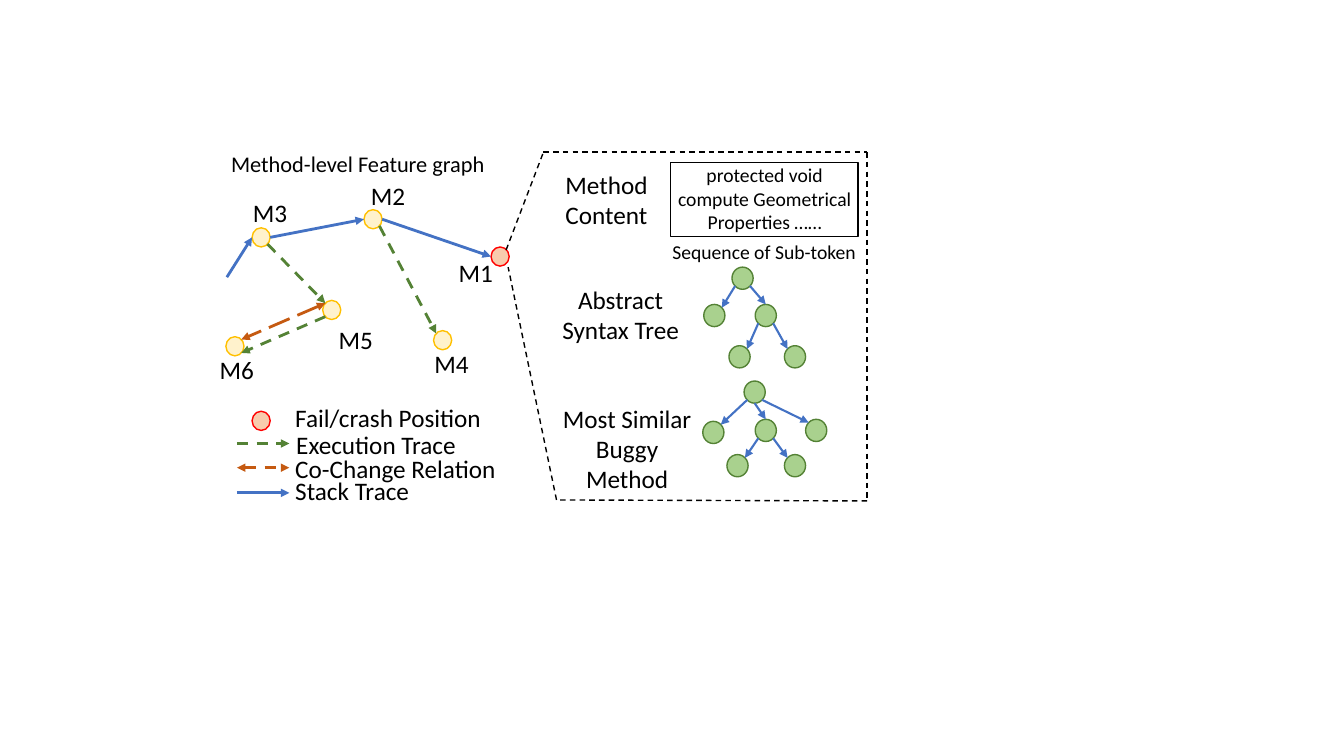
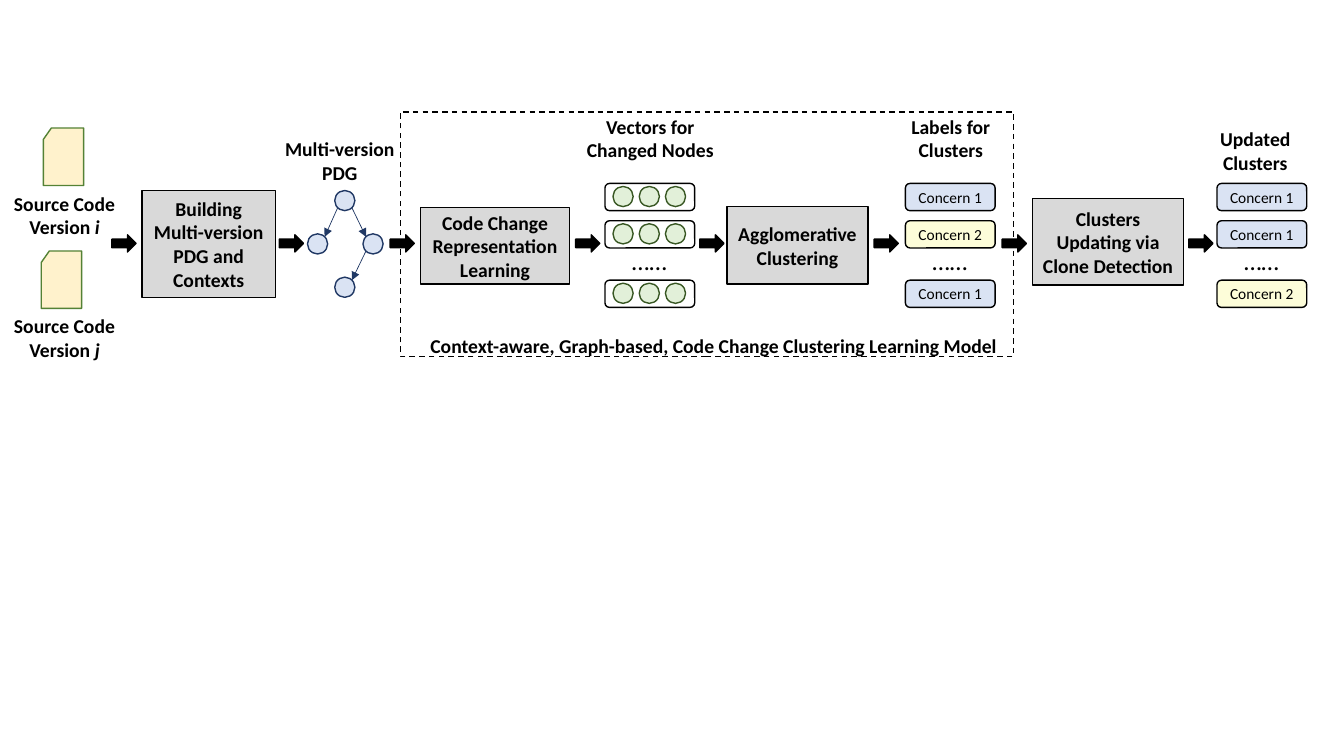
from lxml import etree
from pptx import Presentation
from pptx import util as u
from pptx.dml.color import RGBColor
from pptx.enum import dml, shapes, text
from pptx.oxml import ns

FONT = "Calibri"
BLACK, BLUE, GREEN, ORANGE, RED = "000000", "4472C4", "548235", "C55A11", "FF0000"
GOLD, CREAM, PEACH, LEAF = "FFC000", "FFF2CC", "F8CBAD", "A9D18E"
GREY, NAVY, SKY, LEMON = "D9D9D9", "203864", "DAE3F3", "FDFDD9"
MINT, FOREST = "E2F0D9", "385723"
DASH, LONG_DASH = dml.MSO_LINE.DASH, dml.MSO_LINE.LONG_DASH
SHAPE = shapes.MSO_SHAPE
CENTER, LEFT = text.PP_ALIGN.CENTER, text.PP_ALIGN.LEFT


def color(hex_code):
    """Turn a hex string into a colour."""
    return RGBColor.from_string(hex_code)


def site(node, compass):
    """Return the point on an ellipse (left, top, width, height) facing a compass direction."""
    left, top, width, height = node
    dx = ("e" in compass) - ("w" in compass)
    dy = ("s" in compass) - ("n" in compass)
    reach = 0.5 if len(compass) == 1 else 0.35
    return left + width * (0.5 + reach * dx), top + height * (0.5 + reach * dy)


class Canvas:
    """Holds the deck style and the current slide."""

    def __init__(self):
        """Start a widescreen deck."""
        self.deck = Presentation()
        self.deck.slide_width = u.Inches(13.33)
        self.deck.slide_height = u.Inches(7.5)
        self.slide = None

    def new_slide(self):
        """Add a blank slide and make it current."""
        self.slide = self.deck.slides.add_slide(self.deck.slide_layouts[6])

    def add_words(self, frame, runs, size, bold, align):
        """Put one paragraph of (words, italic) runs into a text frame."""
        frame.word_wrap = True
        paragraph = frame.paragraphs[0]
        paragraph.alignment = align
        for words, italic in runs:
            run = paragraph.add_run()
            run.text = words
            run.font.name, run.font.size = FONT, u.Pt(size)
            run.font.bold, run.font.italic = bold, italic
            run.font.color.rgb = color(BLACK)

    def label(self, at, words, size=18, bold=False, align=LEFT, ending=""):
        """Add a text box, with an optional italic ending."""
        box = self.slide.shapes.add_textbox(*map(u.Inches, at))
        runs = [(words, False)] + ([(ending, True)] if ending else [])
        self.add_words(box.text_frame, runs, size, bold, align)
        box.text_frame.auto_size = text.MSO_AUTO_SIZE.SHAPE_TO_FIT_TEXT

    def shape(self, kind, at, fill=None, line=BLACK, dash=None):
        """Add a preset shape, unfilled unless a fill is given."""
        figure = self.slide.shapes.add_shape(kind, *map(u.Inches, at))
        figure.shadow.inherit = False
        if fill:
            figure.fill.solid()
            figure.fill.fore_color.rgb = color(fill)
        else:
            figure.fill.background()
        figure.line.color.rgb = color(line)
        figure.line.width = u.Pt(1)
        if dash:
            figure.line.dash_style = dash
        return figure

    def box(self, kind, at, words, fill, size, bold=False):
        """Add a shape with centred words inside."""
        figure = self.shape(kind, at, fill)
        frame = figure.text_frame
        frame.margin_left = frame.margin_right = u.Inches(0.08)
        frame.vertical_anchor = text.MSO_ANCHOR.MIDDLE
        self.add_words(frame, [(words, False)], size, bold, CENTER)

    def line(self, start, end, stroke=BLACK, width=1, dash=None, ends=""):
        """Add a straight line; ends names the arrowheads: head, tail or both."""
        connector = self.slide.shapes.add_connector(
            shapes.MSO_CONNECTOR.STRAIGHT, *map(u.Inches, (*start, *end)))
        connector.line.color.rgb = color(stroke)
        connector.line.width = u.Pt(width)
        if dash:
            connector.line.dash_style = dash
        properties = connector.element.spPr
        outline = properties.find(ns.qn("a:ln"))
        for end_name in ends.split():
            etree.SubElement(outline, ns.qn(f"a:{end_name}End"), type="triangle")
        etree.SubElement(properties, ns.qn("a:effectLst"))

    def tree(self, corners, size, edges, fill, outline, stroke, width):
        """Draw equal nodes and the arrows (from, side, to, side) between them."""
        nodes = [(*corner, *size) for corner in corners]
        for node in nodes:
            self.shape(SHAPE.OVAL, node, fill, outline)
        for parent, leaving, child, arriving in edges:
            self.line(site(nodes[parent], leaving), site(nodes[child], arriving),
                      stroke, width, ends="tail")


def feature_graph(canvas):
    """Draw the method graph with its legend."""
    node_size = (0.18, 0.19)
    # name: node corner, label left, top and width
    methods = {
        "M1": ((4.87, 2.45), (4.45, 2.5, 0.74)),
        "M2": ((3.61, 2.08), (3.58, 1.74, 0.74)),
        "M3": ((2.5, 2.26), (2.41, 1.91, 0.74)),
        "M4": ((4.3, 3.28), (4.21, 3.41, 0.74)),
        "M5": ((3.2, 2.98), (3.26, 3.17, 0.82)),
        "M6": ((2.24, 3.34), (2.08, 3.47, 0.74)),
    }
    nodes = {name: (*corner, *node_size) for name, (corner, _) in methods.items()}
    for name, (_, place) in methods.items():
        failing = name == "M1"
        canvas.shape(SHAPE.OVAL, nodes[name], PEACH if failing else CREAM,
                     RED if failing else GOLD)
        canvas.label((*place, 0.4), name)

    stack = (BLUE, 2, None, "tail")
    execution = (GREEN, 2, DASH, "tail")
    for source, leaving, target, arriving, style in (
            ("M3", "e", "M2", "w", stack),
            ("M2", "e", "M1", "w", stack),
            ("M2", "se", "M4", "nw", execution),
            ("M3", "se", "M5", "nw", execution),
            ("M5", "sw", "M6", "se", execution),
            ("M5", "nw", "M6", "ne", (ORANGE, 2, LONG_DASH, "head tail"))):
        canvas.line(site(nodes[source], leaving), site(nodes[target], arriving), *style)
    canvas.line((2.25, 2.75), site(nodes["M3"], "w"), *stack)
    canvas.label((1.91, 1.44, 3.28, 0.37), "Method-level Feature graph", 16, align=CENTER)

    canvas.shape(SHAPE.OVAL, (2.5, 4.08, *node_size), PEACH, RED)
    canvas.label((2.83, 3.94, 2.24, 0.4), "Fail/crash Position")
    for meaning, left, top, line_y, style in (
            ("Execution Trace", 2.84, 4.21, 4.4, execution),
            ("Co-Change Relation", 2.83, 4.45, 4.64, (ORANGE, 2, DASH, "head tail")),
            ("Stack Trace", 2.83, 4.67, 4.89, stack)):
        canvas.line((2.35, line_y), (2.87, line_y), *style)
        canvas.label((left, top, 2.54, 0.4), meaning)


def method_details(canvas):
    """Draw the dashed panel that opens from the failing method."""
    outline = [(5.02, 2.48), (5.39, 1.51), (8.6, 1.51),
               (8.6, 4.97), (5.52, 4.96), (5.04, 2.65)]
    for start, end in zip(outline, outline[1:]):
        canvas.line(start, end, dash=DASH)

    canvas.label((5.51, 1.63, 1.12, 0.71), "Method Content")
    canvas.label((5.35, 2.77, 1.61, 0.71), "Abstract Syntax Tree", align=CENTER)
    canvas.label((5.45, 3.95, 1.54, 1.01), "Most Similar Buggy Method", align=CENTER)
    canvas.label((6.55, 1.57, 2.07, 0.81),
                 "protected void compute Geometrical Properties ……", 14, align=CENTER)
    canvas.shape(SHAPE.RECTANGLE, (6.65, 1.61, 1.86, 0.74))
    canvas.label((6.57, 2.33, 2.24, 0.34), "Sequence of Sub-token", 14)

    style = (LEAF, GREEN, BLUE, 1.5)
    canvas.tree([(7.26, 2.65), (6.98, 3.02), (7.49, 3.02), (7.78, 3.43), (7.23, 3.43)],
                (0.21, 0.22),
                [(0, "sw", 1, "ne"), (0, "se", 2, "n"),
                 (2, "se", 3, "nw"), (2, "sw", 4, "ne")], *style)
    canvas.tree([(7.38, 3.78), (6.97, 4.18), (7.49, 4.16), (7.99, 4.16),
                 (7.78, 4.51), (7.21, 4.51)],
                (0.21, 0.22),
                [(0, "sw", 1, "ne"), (0, "s", 2, "n"), (0, "se", 3, "nw"),
                 (2, "se", 4, "nw"), (2, "sw", 5, "ne")], *style)


def pipeline(canvas):
    """Draw the clustering pipeline from source code to updated clusters."""
    for at, step in (
            ((1.41, 1.89, 1.32, 1.06), "Building Multi-version PDG and Contexts"),
            ((4.17, 2.06, 1.48, 0.76), "Code Change Representation Learning"),
            ((7.21, 2.05, 1.4, 0.77), "Agglomerative Clustering"),
            ((10.24, 1.97, 1.5, 0.86), "Clusters Updating via Clone Detection")):
        canvas.box(SHAPE.RECTANGLE, at, step, GREY, 14, bold=True)

    canvas.tree([(3.32, 1.89), (3.05, 2.32), (3.6, 2.32), (3.32, 2.75)], (0.2, 0.2),
                [(0, "se", 2, "nw"), (0, "sw", 1, "ne"), (2, "sw", 3, "ne")],
                SKY, NAVY, NAVY, 0.5)

    row_tops = (1.82, 2.19, 2.78)
    pill = (0.89, 0.27)
    for top in row_tops:
        canvas.shape(SHAPE.ROUNDED_RECTANGLE, (6, top, *pill))
        for place in range(3):
            canvas.shape(SHAPE.OVAL, (6.08 + 0.26 * place, top + 0.03, 0.2, 0.2),
                         MINT, FOREST)
    concern_fills = {1: SKY, 2: LEMON}
    for left, concerns in ((8.98, (1, 2, 1)), (12.07, (1, 1, 2))):
        for top, concern in zip(row_tops, concerns):
            canvas.box(SHAPE.ROUNDED_RECTANGLE, (left, top, *pill),
                       f"Concern {concern}", concern_fills[concern], 11)
    for left in (6.17, 9.15, 12.24):
        canvas.label((left, 2.38, 0.94, 0.4), "……")

    canvas.shape(SHAPE.RECTANGLE, (3.97, 1.11, 6.08, 2.43), dash=DASH)
    canvas.label((4.17, 3.26, 5.88, 0.34),
                 "Context-aware, Graph-based, Code Change Clustering Learning Model",
                 14, bold=True)
    for left, top, heading in ((2.63, 1.31, "Multi-version PDG"),
                               (5.71, 1.09, "Vectors for Changed Nodes"),
                               (8.69, 1.09, "Labels for Clusters"),
                               (11.71, 1.21, "Updated Clusters")):
        canvas.label((left, top, 1.48, 0.57), heading, 14, True, CENTER)

    for left in (1.11, 2.77, 3.87, 5.71, 6.94, 8.67, 9.94, 11.79):
        canvas.shape(SHAPE.RIGHT_ARROW, (left, 2.33, 0.24, 0.17), BLACK)
    for left, top, version in ((0.43, 1.27, "i"), (0.41, 2.49, "j")):
        canvas.shape(SHAPE.FLOWCHART_CARD, (left, top, 0.4, 0.57), CREAM, GREEN)
        canvas.label((-0.1, top + 0.58, 1.48, 0.57), "Source Code Version ",
                     14, True, CENTER, ending=version)


canvas = Canvas()
canvas.new_slide()
feature_graph(canvas)
method_details(canvas)
canvas.new_slide()
pipeline(canvas)
canvas.deck.save("out.pptx")
